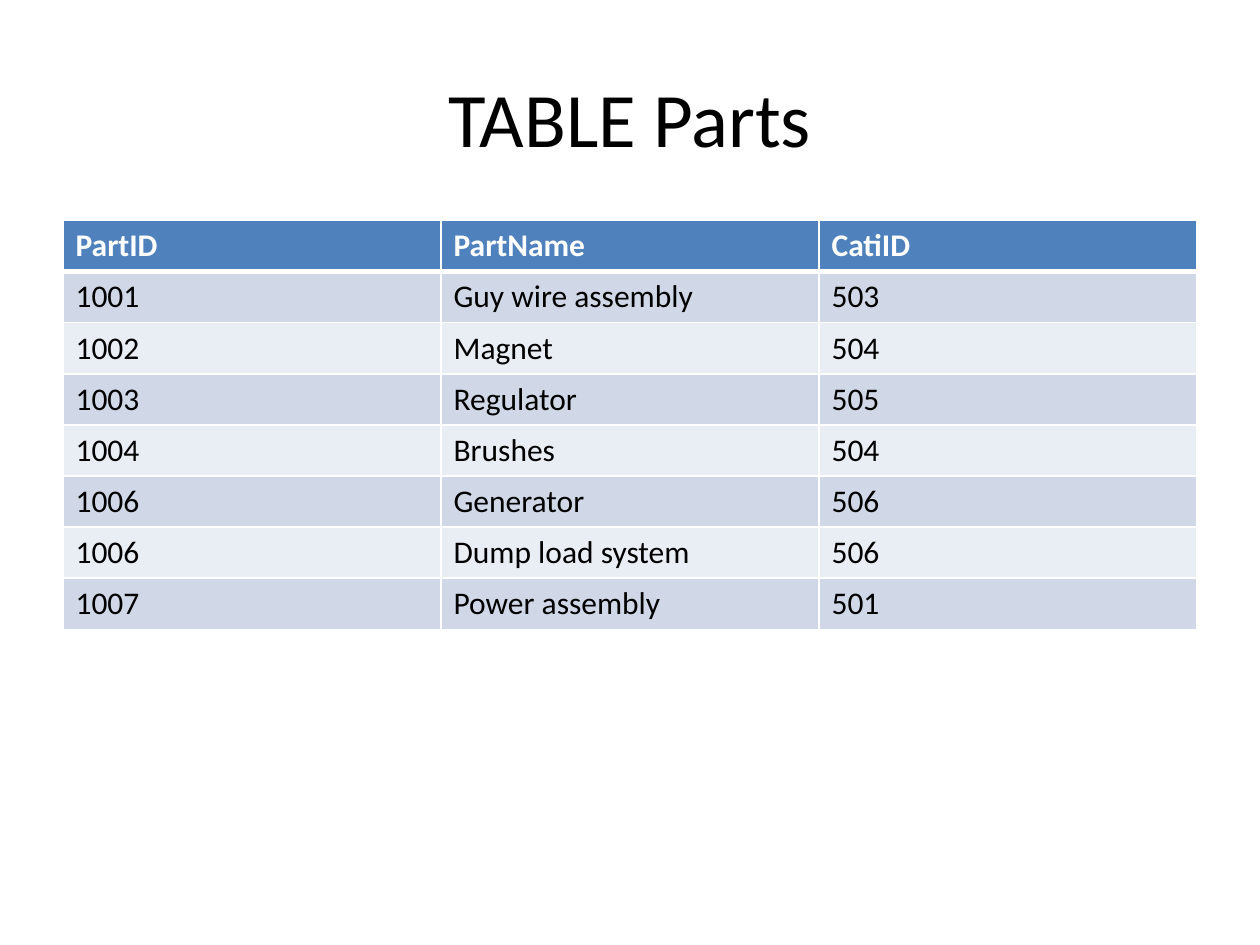
from dataclasses import dataclass

from lxml.etree import SubElement
from pptx import Presentation
from pptx.dml.color import RGBColor
from pptx.enum.text import MSO_ANCHOR, PP_ALIGN
from pptx.oxml.ns import qn
from pptx.util import Inches, Pt


@dataclass(frozen=True)
class Theme:
    font: str = "Calibri"
    title_size: int = 44
    cell_size: int = 18
    text: str = "000000"
    header_text: str = "FFFFFF"
    header_fill: str = "4F81BD"
    bands: tuple = ("D0D8E8", "E9EDF4")
    border: str = "FFFFFF"
    border_width: int = 1
    header_rule_width: int = 3


THEME = Theme()

PARTS = [
    ("PartID", "PartName", "CatiID"),
    ("1001", "Guy wire assembly", "503"),
    ("1002", "Magnet", "504"),
    ("1003", "Regulator", "505"),
    ("1004", "Brushes", "504"),
    ("1006", "Generator", "506"),
    ("1006", "Dump load system", "506"),
    ("1007", "Power assembly", "501"),
]


def style_text(paragraph, size, color, bold=False):
    for run in paragraph.runs:
        run.font.name = THEME.font
        run.font.size = Pt(size)
        run.font.bold = bold
        run.font.color.rgb = RGBColor.from_string(color)


def set_borders(cell, top, bottom):
    properties = cell._tc.get_or_add_tcPr()
    side = THEME.border_width
    for tag, width in (("a:lnL", side), ("a:lnR", side), ("a:lnT", top), ("a:lnB", bottom)):
        line = SubElement(properties, qn(tag), w=str(Pt(width)))
        fill = SubElement(line, qn("a:solidFill"))
        SubElement(fill, qn("a:srgbClr"), val=THEME.border)


def place_title(slide, left, top, width, height):
    title = slide.shapes.title
    title.left, title.top, title.width, title.height = left, top, width, height
    frame = title.text_frame
    frame.text = "TABLE Parts"
    frame.vertical_anchor = MSO_ANCHOR.MIDDLE
    heading = frame.paragraphs[0]
    heading.alignment = PP_ALIGN.CENTER
    style_text(heading, THEME.title_size, THEME.text)


def place_parts_table(slide, left, top, width, height):
    parts_table = slide.shapes.add_table(
        len(PARTS), len(PARTS[0]), left, top, width, height
    ).table
    for row_index, part in enumerate(PARTS):
        is_header = row_index == 0
        fill = THEME.header_fill if is_header else THEME.bands[(row_index - 1) % 2]
        color = THEME.header_text if is_header else THEME.text
        top_rule = THEME.header_rule_width if row_index == 1 else THEME.border_width
        bottom_rule = THEME.header_rule_width if is_header else THEME.border_width
        for column_index, value in enumerate(part):
            cell = parts_table.cell(row_index, column_index)
            cell.text_frame.text = value
            style_text(cell.text_frame.paragraphs[0], THEME.cell_size, color, is_header)
            set_borders(cell, top_rule, bottom_rule)
            cell.fill.solid()
            cell.fill.fore_color.rgb = RGBColor.from_string(fill)


def main():
    presentation = Presentation()
    presentation.slide_width = Inches(10)
    presentation.slide_height = Inches(7.5)
    slide = presentation.slides.add_slide(presentation.slide_layouts[5])
    place_title(slide, Inches(0.5), Inches(0.3), Inches(9), Inches(1.25))
    place_parts_table(slide, Inches(0.5), Inches(1.75), Inches(9), Inches(3.24))
    presentation.save("out.pptx")


if __name__ == "__main__":
    main()
